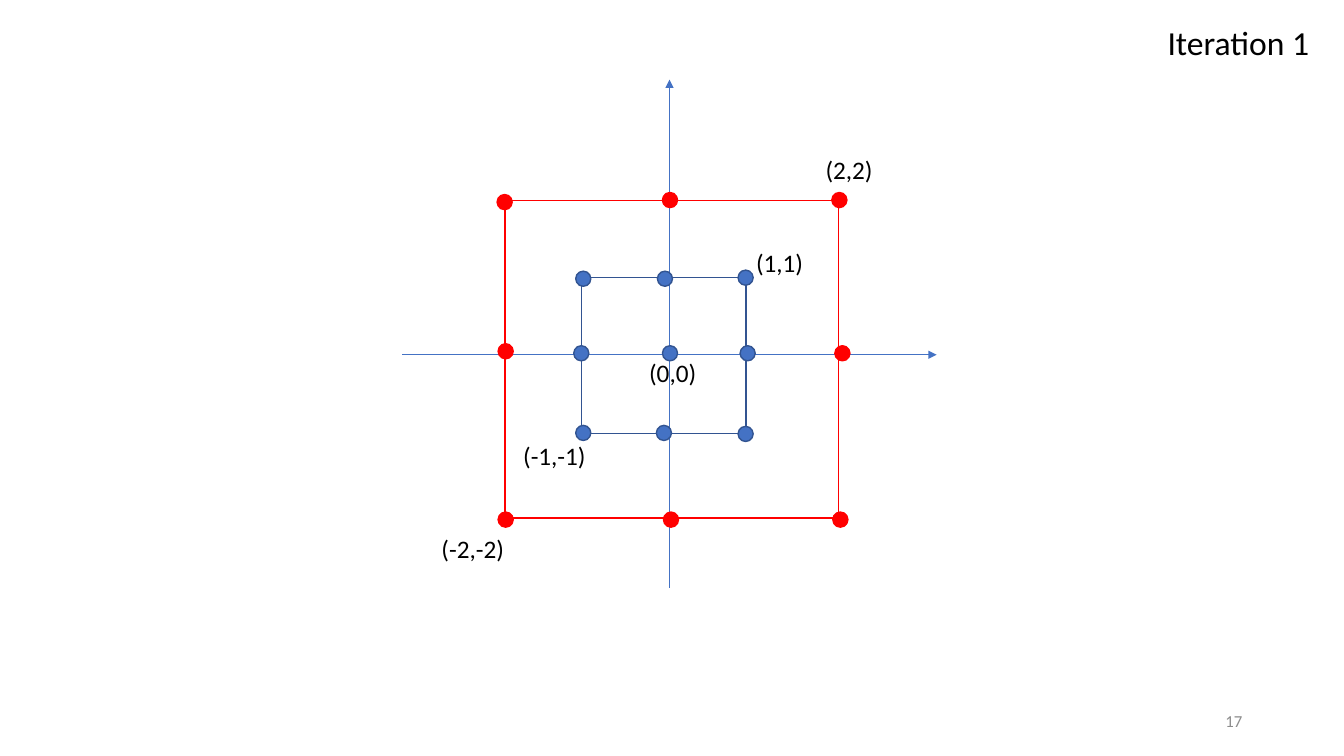
from dataclasses import dataclass

from lxml.etree import SubElement
from pptx import Presentation
from pptx.dml.color import RGBColor
from pptx.enum.shapes import MSO_CONNECTOR, MSO_SHAPE
from pptx.enum.text import MSO_ANCHOR, MSO_AUTO_SIZE, PP_ALIGN
from pptx.oxml.ns import qn
from pptx.util import Emu, Pt


@dataclass(frozen=True)
class Theme:
    """Colours, type sizes and line widths of the slide."""
    font: str = "Calibri"
    text: str = "000000"
    muted: str = "8C8C8C"
    blue: str = "4472C4"
    navy: str = "325491"
    red: str = "FF0000"
    title: int = 24
    label: int = 18
    number: int = 12
    axis: float = 0.5
    outline: float = 1


THEME = Theme()
EMU_PER_PX = 9144
DOT = 15

LABELS = [
    ("(2,2)", (809, 148, 76, 40)),
    ("(0,0)", (634, 350, 76, 40)),
    ("(-2,-2)", (428, 524, 91, 40)),
    ("(1,1)", (740, 240, 151, 40)),
    ("(-1,-1)", (509, 432, 109, 40)),
]
OUTER_DOTS = [
    (493, 193), (657, 191), (825, 191), (494, 341),
    (828, 343), (494, 508), (658, 508), (826, 508),
]
INNER_DOTS = [
    (571, 269), (652, 269), (732, 268), (569, 343), (657, 343),
    (734, 343), (571, 422), (651, 422), (732, 423),
]


def px(*lengths):
    """Turn px lengths into EMU."""
    return [Emu(n * EMU_PER_PX) for n in lengths]


def set_attrs(obj, values):
    """Set every attribute in a dict of format values."""
    for name, value in values.items():
        setattr(obj, name, value)


def write(sp, text, size, color=THEME.text, align=PP_ALIGN.LEFT,
          anchor=MSO_ANCHOR.TOP):
    """Put one formatted line of text into a shape."""
    tf = sp.text_frame
    tf.text = text
    set_attrs(tf, {"word_wrap": True, "auto_size": MSO_AUTO_SIZE.NONE,
                   "vertical_anchor": anchor})
    p = tf.paragraphs[0]
    p.alignment = align
    set_attrs(p.font, {"name": THEME.font, "size": Pt(size)})
    p.font.color.rgb = RGBColor.from_string(color)


def add_title(s, text, box):
    """Move the title placeholder to its box and fill it."""
    sp = s.shapes.title
    set_attrs(sp, dict(zip(("left", "top", "width", "height"), px(*box))))
    write(sp, text, THEME.title)


def add_text(s, text, box, size, **style):
    """Add a text box."""
    write(s.shapes.add_textbox(*px(*box)), text, size, **style)


def add_axis(s, start, end):
    """Add a coordinate axis with an arrowhead at its end."""
    cx = s.shapes.add_connector(MSO_CONNECTOR.STRAIGHT, *px(*start, *end))
    cx.line.color.rgb = RGBColor.from_string(THEME.blue)
    cx.line.width = Pt(THEME.axis)
    SubElement(cx.line._get_or_add_ln(), qn("a:tailEnd"), type="triangle")
    SubElement(cx._element.spPr, qn("a:effectLst"))


def add_figure(s, kind, box, line, fill=None):
    """Add an outlined shape, filled if a colour is given."""
    sp = s.shapes.add_shape(kind, *px(*box))
    sp.shadow.inherit = False
    sp.line.color.rgb = RGBColor.from_string(line)
    sp.line.width = Pt(THEME.outline)
    if fill:
        sp.fill.solid()
        sp.fill.fore_color.rgb = RGBColor.from_string(fill)
    else:
        sp.fill.background()


def add_dots(s, corners, line, fill):
    """Add a dot at each top left corner."""
    for corner in corners:
        add_figure(s, MSO_SHAPE.OVAL, (*corner, DOT, DOT), line, fill)


def main():
    """Build the slide and save it."""
    prs = Presentation()
    prs.slide_width, prs.slide_height = px(1333, 750)
    s = prs.slides.add_slide(prs.slide_layouts[5])
    add_title(s, "Iteration 1", (1148, 17, 178, 50))
    add_axis(s, (664, 583), (664, 79))
    add_axis(s, (399, 352), (929, 352))
    add_figure(s, MSO_SHAPE.RECTANGLE, (501, 199, 331, 315), THEME.red)
    add_figure(s, MSO_SHAPE.RECTANGLE, (577, 275, 163, 155), THEME.navy)
    for text, box in LABELS:
        add_text(s, text, box, THEME.label)
    add_dots(s, OUTER_DOTS, THEME.red, THEME.red)
    add_dots(s, INNER_DOTS, THEME.navy, THEME.blue)
    add_text(s, "17", (942, 695, 300, 40), THEME.number, color=THEME.muted,
             align=PP_ALIGN.RIGHT, anchor=MSO_ANCHOR.MIDDLE)
    prs.save("out.pptx")


if __name__ == "__main__":
    main()
